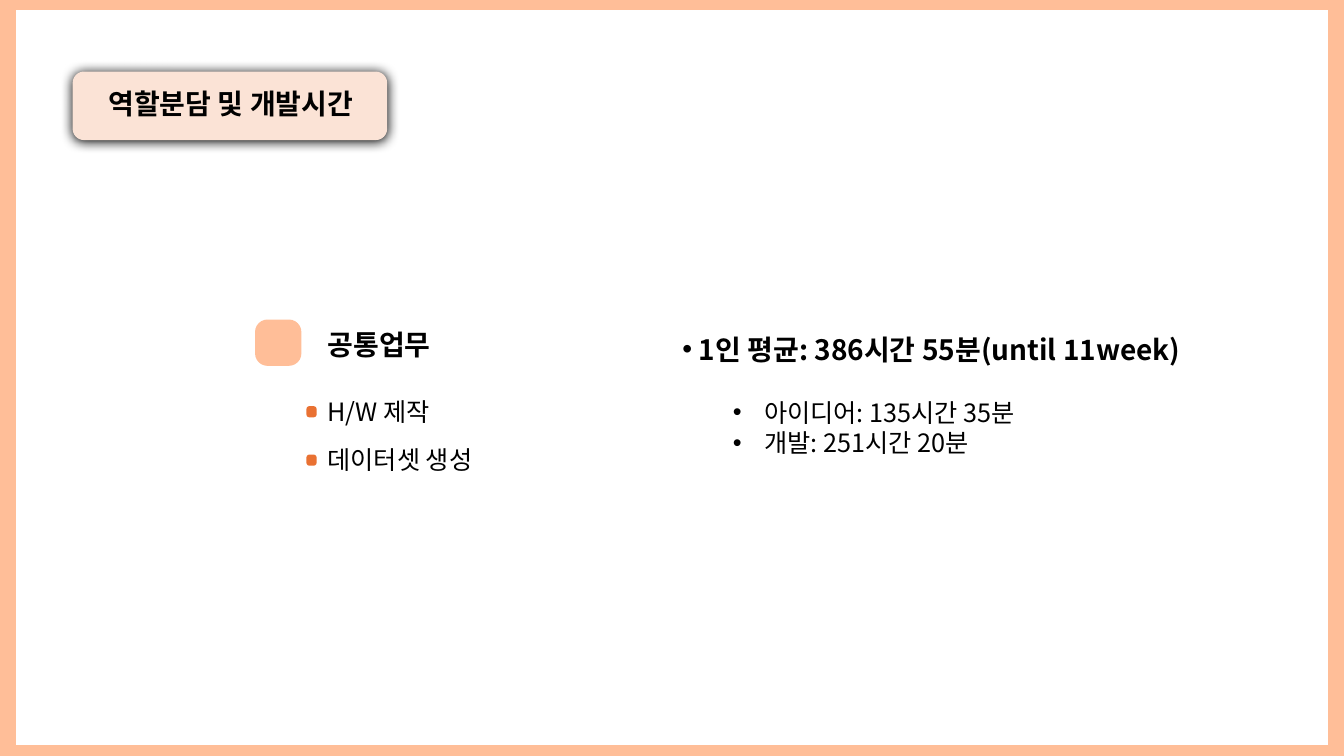
from dataclasses import dataclass

from lxml import etree
from pptx import Presentation
from pptx.dml.color import RGBColor
from pptx.enum.shapes import MSO_SHAPE
from pptx.enum.text import MSO_ANCHOR, MSO_AUTO_SIZE, PP_ALIGN
from pptx.oxml import parse_xml
from pptx.oxml.ns import qn
from pptx.util import Inches, Pt

RECT, ROUNDED = MSO_SHAPE.RECTANGLE, MSO_SHAPE.ROUNDED_RECTANGLE
MIDDLE, CENTER = MSO_ANCHOR.MIDDLE, PP_ALIGN.CENTER
GROW = MSO_AUTO_SIZE.SHAPE_TO_FIT_TEXT


@dataclass(frozen=True)
class Theme:
    font: str = "Noto Sans CJK KR"
    peach: str = "FFBE98"
    paper: str = "FFFFFF"
    title_fill: str = "FBE3D6"
    accent: str = "E97132"
    ink: str = "000000"
    heading: int = 20
    body: int = 18


THEME = Theme()
TITLE_SHADOW = f"""
<a:effectLst xmlns:a="http://schemas.openxmlformats.org/drawingml/2006/main">
  <a:outerShdw blurRad="{Pt(8.5)}" dist="{Pt(1)}" dir="5400000" algn="t" rotWithShape="0">
    <a:srgbClr val="{THEME.ink}"/>
  </a:outerShdw>
</a:effectLst>"""

prs = Presentation()
prs.slide_width, prs.slide_height = Inches(13.33), Inches(7.5)
slide = prs.slides.add_slide(prs.slide_layouts[6])


def add_panel(kind, box, color, corner=None):
    """Add a flat, borderless shape; corner is the rounding ratio."""
    panel = slide.shapes.add_shape(kind, *map(Inches, box))
    panel.shadow.inherit = False
    panel.fill.solid()
    panel.fill.fore_color.rgb = RGBColor.from_string(color)
    panel.line.fill.background()
    if corner is not None:
        panel.adjustments[0] = corner
    return panel


def add_label(box, lines):
    """Add a text box from (text, size, bold, bullet margins or None) lines."""
    frame = slide.shapes.add_textbox(*map(Inches, box)).text_frame
    frame.word_wrap = True
    frame.auto_size = GROW
    for index, (text, size, bold, bullet) in enumerate(lines):
        paragraph = frame.paragraphs[0] if index == 0 else frame.add_paragraph()
        if bullet is not None:
            margin, indent = bullet
            props = paragraph._p.get_or_add_pPr()
            props.set("marL", str(Inches(margin)))
            props.set("indent", str(Inches(indent)))
            etree.SubElement(props, qn("a:buFont")).set("typeface", "Arial")
            etree.SubElement(props, qn("a:buChar")).set("char", "•")
        run = paragraph.add_run()
        run.text = text
        formats = {"name": THEME.font, "size": Pt(size), "bold": bold}
        for attribute, value in formats.items():
            setattr(run.font, attribute, value)
        run.font.color.rgb = RGBColor.from_string(THEME.ink)
        east_asian = etree.SubElement(run._r.get_or_add_rPr(), qn("a:ea"))
        east_asian.set("typeface", THEME.font)
    return frame


# Frame
add_panel(RECT, (0, 0, 13.33, 7.5), THEME.peach)
add_panel(RECT, (0.16, 0.1, 13.01, 7.29), THEME.paper)

# Title
title_plate = add_panel(ROUNDED, (0.72, 0.71, 3.12, 0.68), THEME.title_fill)
plate_props = title_plate._element.spPr
plate_props.replace(plate_props.find(qn("a:effectLst")), parse_xml(TITLE_SHADOW))
title = add_label((0.49, 0.68, 3.6, 0.74),
                  [("역할분담 및 개발시간", THEME.heading, True, None)])
title.auto_size = MSO_AUTO_SIZE.NONE
title.vertical_anchor = MIDDLE
title.paragraphs[0].alignment = CENTER
title.paragraphs[0].line_spacing = 0.9

# Shared tasks
add_panel(ROUNDED, (2.53, 3.17, 0.46, 0.46), THEME.peach, 0.27)
add_label((3.15, 3.2, 1.59, 0.44), [("공통업무", THEME.heading, True, None)])
for row, task in enumerate(("H/W 제작", "데이터셋 생성")):
    top = 3.88 + 0.48 * row
    add_panel(ROUNDED, (3.04, top + 0.15, 0.1, 0.11), THEME.accent, 0.27)
    add_label((3.15, top, 2.2, 0.4), [(task, THEME.body, False, None)])

# Development hours
hours = add_label((6.67, 3.25, 5.35, 1.68), [
    (" 1인 평균: 386시간 55분(until 11week)", THEME.heading, True, (0, 0)),
    ("아이디어: 135시간 35분", THEME.body, False, (0.81, -0.31)),
    ("개발: 251시간 20분", THEME.body, False, (0.81, -0.31)),
])
for detail in hours.paragraphs[1:]:
    detail.level = 1
hours.paragraphs[1].space_before = Pt(22)

prs.save("out.pptx")
